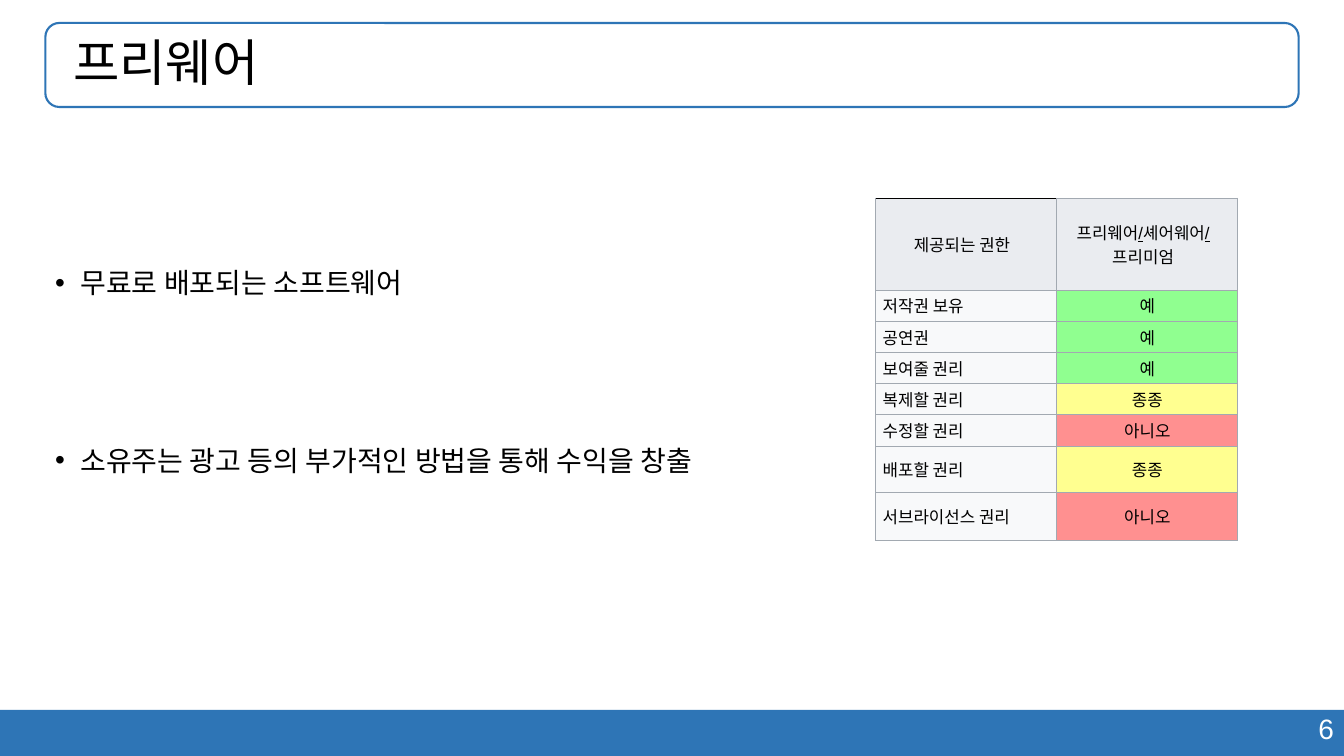
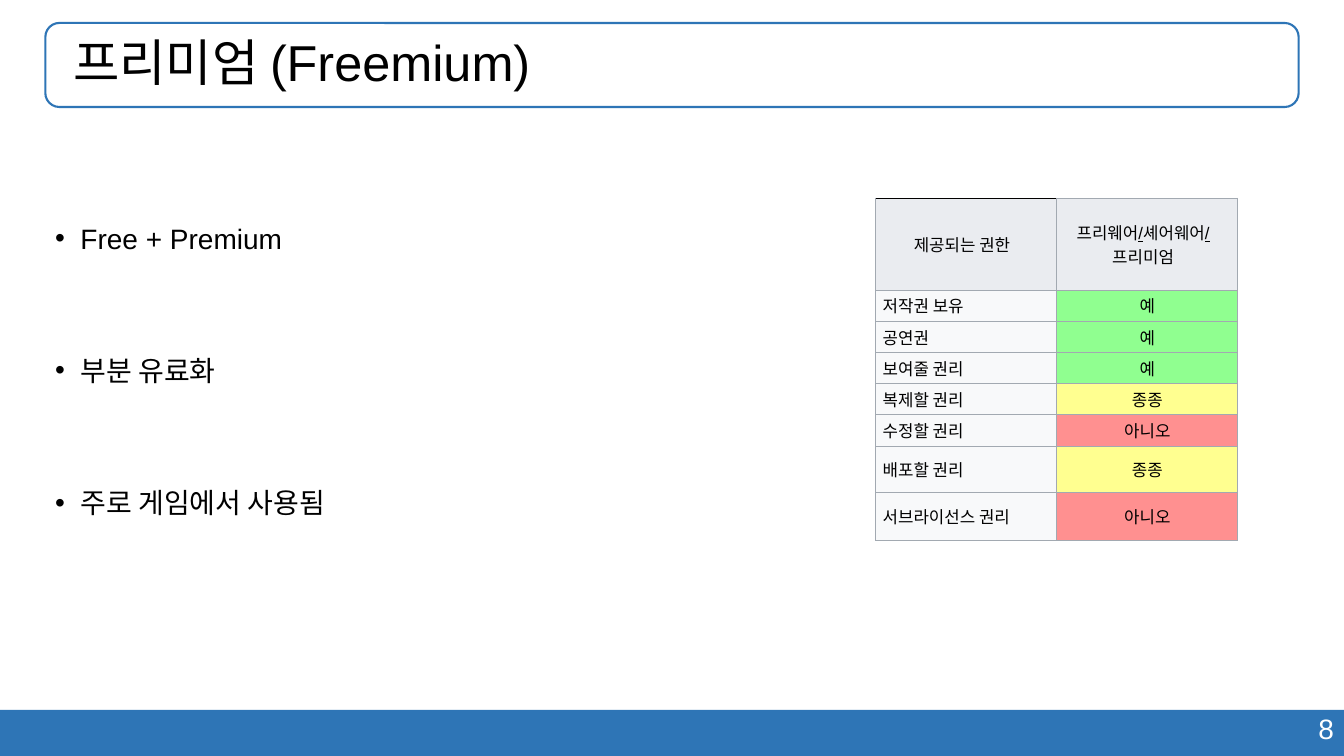
from lxml.etree import SubElement
from pptx import Presentation
from pptx.dml.color import RGBColor
from pptx.enum.shapes import MSO_SHAPE
from pptx.enum.text import MSO_ANCHOR, PP_ALIGN
from pptx.oxml.ns import qn
from pptx.util import Pt

SLIDE_W, SLIDE_H = 960, 540
MARGIN = 32.4
CONTENT_W = SLIDE_W - 2 * MARGIN
FONT = "Arial"

BLUE = RGBColor(0x2E, 0x75, 0xB6)
BLACK = RGBColor(0, 0, 0)
WHITE = RGBColor(0xFF, 0xFF, 0xFF)
BORDER = RGBColor(0xA2, 0xA9, 0xB1)
HEADER = RGBColor(0xEA, 0xEC, 0xF0)
LABEL = RGBColor(0xF8, 0xF9, 0xFA)
ANSWER_COLORS = {
    "예": RGBColor(0x90, 0xFF, 0x90),
    "종종": RGBColor(0xFF, 0xFF, 0x90),
    "아니오": RGBColor(0xFF, 0x90, 0x90),
}

BODY_TOP, BODY_LINE = 94, 32
TEXT_LINE = 24
BULLET_INDENT = 18

RIGHTS = [
    ("저작권\u00a0보유", "예"),
    ("공연권", "예"),
    ("보여줄 권리", "예"),
    ("복제할 권리", "종종"),
    ("수정할 권리", "아니오"),
    ("배포할 권리", "종종"),
    ("서브라이선스 권리", "아니오"),
]
ROW_HEIGHTS = [65.5] + [22.3] * 5 + [33.1, 34.6]

# title, page number, empty lines before each bullet, bullets
SLIDES = [
    ("프리웨어", 6, 3,
     ["무료로 배포되는 소프트웨어",
      "소유주는 광고 등의 부가적인 방법을 통해 수익을 창출"]),
    ("프리미엄 (Freemium)", 8, 2,
     ["Free + Premium", "부분 유료화", "주로 게임에서 사용됨"]),
]


def set_font(paragraph, size, color=BLACK):
    font = paragraph.font
    font.name, font.size, font.color.rgb = FONT, Pt(size), color


def add_box(slide, shape_type, left, top, width, height):
    """Add a plain shape with neither shadow, fill nor line."""
    box = slide.shapes.add_shape(
        shape_type, Pt(left), Pt(top), Pt(width), Pt(height))
    box.shadow.inherit = False
    box.fill.background()
    box.line.fill.background()
    return box


def add_title(slide, title, left, top, width, height):
    frame = add_box(slide, MSO_SHAPE.ROUNDED_RECTANGLE, left, top, width, height)
    frame.line.color.rgb = BLUE
    frame.line.width = Pt(1.5)
    text = frame.text_frame
    text.margin_left = Pt(17)
    text.vertical_anchor = MSO_ANCHOR.MIDDLE
    paragraph = text.paragraphs[0]
    paragraph.text = title
    paragraph.alignment = PP_ALIGN.LEFT
    paragraph.line_spacing = 0.9
    set_font(paragraph, 36)


def add_footer(slide, page, top, height):
    band = add_box(slide, MSO_SHAPE.RECTANGLE, 0, top, SLIDE_W, height)
    band.fill.solid()
    band.fill.fore_color.rgb = BLUE
    number_w = 280
    number = slide.shapes.add_textbox(
        Pt(SLIDE_W - number_w), Pt(top - 2), Pt(number_w), Pt(height - 1.5))
    number.text_frame.word_wrap = True
    paragraph = number.text_frame.paragraphs[0]
    paragraph.text = str(page)
    paragraph.alignment = PP_ALIGN.RIGHT
    set_font(paragraph, 20, WHITE)


def add_bullets(slide, bullets, gap_lines, left, top, width):
    """Space the bullets so that gap_lines lines stay free above each one."""
    pitch = (gap_lines + 1) * BODY_LINE - 1.5
    body = slide.shapes.add_textbox(
        Pt(left), Pt(top + gap_lines * BODY_LINE), Pt(width),
        Pt(pitch * (len(bullets) - 1) + TEXT_LINE))
    text = body.text_frame
    text.word_wrap = True
    text.margin_top = text.margin_bottom = 0
    for i, bullet in enumerate(bullets):
        paragraph = text.add_paragraph() if i else text.paragraphs[0]
        paragraph.text = bullet
        paragraph.line_spacing = Pt(TEXT_LINE)
        if i:
            paragraph.space_before = Pt(pitch - TEXT_LINE)
        properties = paragraph._p.get_or_add_pPr()
        properties.set("marL", str(Pt(BULLET_INDENT)))
        properties.set("indent", str(-Pt(BULLET_INDENT)))
        SubElement(properties, qn("a:buFont"), typeface=FONT)
        SubElement(properties, qn("a:buChar"), char="•")
        set_font(paragraph, 20)


def set_borders(cell, top_color):
    properties = cell._tc.get_or_add_tcPr()
    for i, side in enumerate(("lnL", "lnR", "lnT", "lnB")):
        line = SubElement(properties, qn(f"a:{side}"), w=str(Pt(0.75)))
        properties.remove(line)
        properties.insert(i, line)
        fill = SubElement(line, qn("a:solidFill"))
        color = top_color if side == "lnT" else BORDER
        SubElement(fill, qn("a:srgbClr"), val=str(color))


def style_cell(cell, color, alignment, margin_right=5, top_color=BORDER):
    cell.fill.solid()
    cell.fill.fore_color.rgb = color
    cell.vertical_anchor = MSO_ANCHOR.MIDDLE
    cell.margin_left, cell.margin_right = Pt(5), Pt(margin_right)
    cell.margin_top = cell.margin_bottom = Pt(2.2)
    paragraph = cell.text_frame.paragraphs[0]
    paragraph.alignment = alignment
    set_font(paragraph, 12)
    set_borders(cell, top_color)


def fill_license_heading(cell):
    paragraph = cell.text_frame.paragraphs[0]
    for part in ("프리웨어", "/", "셰어웨어", "/"):
        run = paragraph.add_run()
        run.text = part
        if part == "/":
            run.font.underline = True
    paragraph.add_line_break()
    paragraph.add_run().text = "프리미엄"


def add_rights_table(slide, left, top, width):
    table = slide.shapes.add_table(
        len(ROW_HEIGHTS), 2, Pt(left), Pt(top), Pt(width),
        Pt(sum(ROW_HEIGHTS))).table
    table.first_row = table.horz_banding = False
    for row, height in zip(table.rows, ROW_HEIGHTS):
        row.height = Pt(height)
    for column in table.columns:
        column.width = Pt(width / 2)

    rights_heading, license_heading = table.cell(0, 0), table.cell(0, 1)
    rights_heading.text = "제공되는 권한"
    fill_license_heading(license_heading)
    style_cell(rights_heading, HEADER, PP_ALIGN.CENTER, 11, BLACK)
    style_cell(license_heading, HEADER, PP_ALIGN.CENTER, 11)

    for i, (right, answer) in enumerate(RIGHTS, start=1):
        right_cell, answer_cell = table.cell(i, 0), table.cell(i, 1)
        right_cell.text, answer_cell.text = right, answer
        style_cell(right_cell, LABEL, PP_ALIGN.LEFT)
        style_cell(answer_cell, ANSWER_COLORS[answer], PP_ALIGN.CENTER)


def add_license_slide(deck, title, page, gap_lines, bullets):
    slide = deck.slides.add_slide(deck.slide_layouts[6])
    add_footer(slide, page, 507, SLIDE_H - 507)
    add_title(slide, title, MARGIN, 16.4, CONTENT_W, 60)
    add_bullets(slide, bullets, gap_lines, MARGIN, BODY_TOP, 560)
    add_rights_table(slide, 625.5, 141.7, 258.8)


def main():
    deck = Presentation()
    deck.slide_width, deck.slide_height = Pt(SLIDE_W), Pt(SLIDE_H)
    for content in SLIDES:
        add_license_slide(deck, *content)
    deck.save("out.pptx")


if __name__ == "__main__":
    main()
